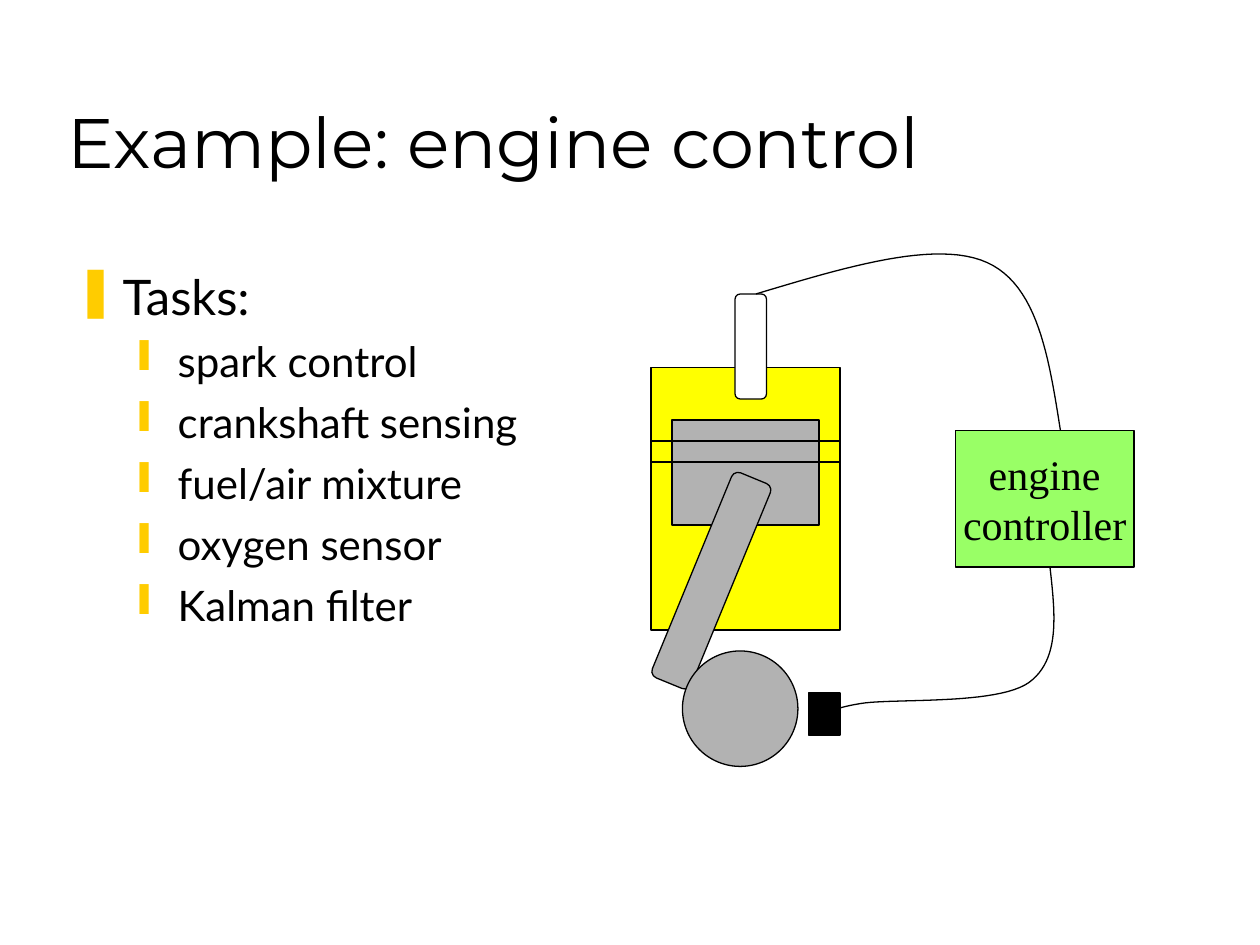
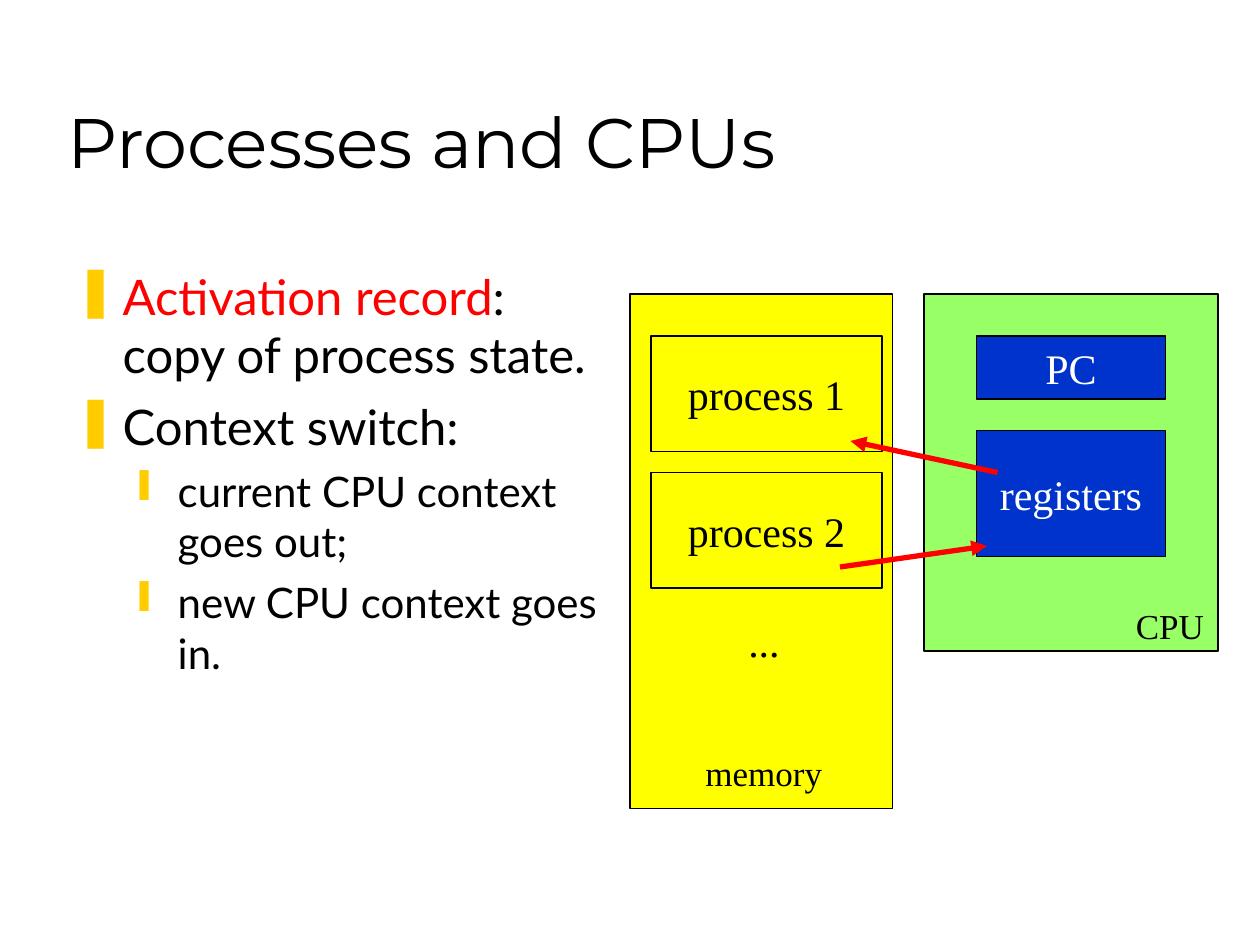
from lxml import etree
from pptx import Presentation
from pptx.dml import color
from pptx.enum import shapes, text
from pptx.oxml import ns
from pptx.util import Pt

BLACK, WHITE, RED = "000000", "FFFFFF", "FF0000"
YELLOW, GREEN, BLUE, GRAY = "FFFF00", "99FF66", "0033CC", "B2B2B2"
GOLD = "FFCC00"
HEAD, BODY, LABEL = "Montserrat", "Lato", "Times New Roman"
SHAPE = shapes.MSO_SHAPE
LEFT, CENTER = text.PP_ALIGN.LEFT, text.PP_ALIGN.CENTER
TOP, MIDDLE, BOTTOM = (text.MSO_ANCHOR.TOP, text.MSO_ANCHOR.MIDDLE,
                       text.MSO_ANCHOR.BOTTOM)
# Per outline level: bullet, size, indent, hang, space before
LEVELS = [("❚", 28, 27, 27, 7), ("❙", 24, 58.5, 22.5, 6)]


def rgb(code):
    return color.RGBColor.from_string(code)


def add_tag(parent, tag, **attrs):
    return etree.SubElement(parent, ns.qn(tag), attrs)


def write(par, words, size=24, font=LABEL, ink=BLACK, align=LEFT):
    """Fill a paragraph with one run."""
    par.alignment = align
    run = par.add_run()
    run.text = words
    run.font.size, run.font.name = Pt(size), font
    run.font.color.rgb = rgb(ink)


def set_frame(frame, anchor=TOP, wrap=False):
    frame.auto_size = text.MSO_AUTO_SIZE.NONE
    frame.vertical_anchor, frame.word_wrap = anchor, wrap
    frame.margin_left = frame.margin_right = Pt(7.2)
    frame.margin_top = frame.margin_bottom = Pt(3.6)


def start(deck, words):
    """Add a slide with its title."""
    slide = deck.slides.add_slide(deck.slide_layouts[5])
    title = slide.shapes.title
    title.left, title.top = Pt(31.5), Pt(18)
    title.width, title.height = Pt(612), Pt(90)
    set_frame(title.text_frame, BOTTOM, True)
    write(title.text_frame.paragraphs[0], words, size=40, font=HEAD)
    return slide


def outline(slide, items):
    """Add a bulleted list of (level, [(words, ink), ...])."""
    box = slide.shapes.add_textbox(Pt(36), Pt(148.5), Pt(316), Pt(328.5))
    frame = box.text_frame
    set_frame(frame, wrap=True)
    for i, (level, runs) in enumerate(items):
        par = frame.add_paragraph() if i else frame.paragraphs[0]
        mark, size, indent, hang, gap = LEVELS[level]
        par.level = level
        props = par._p.get_or_add_pPr()
        props.set("marL", str(Pt(indent)))
        props.set("indent", str(-Pt(hang)))
        tint = add_tag(props, "a:buClr")
        add_tag(tint, "a:srgbClr", val=GOLD)
        add_tag(props, "a:buChar", char=mark)
        par.space_before = Pt(gap if i else 0)
        for words, ink in runs:
            write(par, words, size=size, font=BODY, ink=ink)


def paint(shape, fill):
    shape.shadow.inherit = False
    if fill:
        shape.fill.solid()
        shape.fill.fore_color.rgb = rgb(fill)
    else:
        shape.fill.background()
    shape.line.color.rgb = rgb(BLACK)
    shape.line.width = Pt(0.75)


def block(slide, x, y, w, h, fill=None, words="", ink=BLACK,
          kind=SHAPE.RECTANGLE, turn=0):
    shape = slide.shapes.add_shape(kind, Pt(x), Pt(y), Pt(w), Pt(h))
    paint(shape, fill)
    shape.rotation = turn
    if words:
        frame = shape.text_frame
        set_frame(frame, MIDDLE)
        for i, line in enumerate(words.split("\n")):
            par = frame.add_paragraph() if i else frame.paragraphs[0]
            write(par, line, ink=ink, align=CENTER)
    return shape


def label(slide, x, y, w, h, words, size=20):
    box = slide.shapes.add_textbox(Pt(x), Pt(y), Pt(w), Pt(h))
    set_frame(box.text_frame)
    write(box.text_frame.paragraphs[0], words, size=size)


def link(slide, x1, y1, x2, y2, ink=BLACK, width=0.75, arrow=False):
    line = slide.shapes.add_connector(
        shapes.MSO_CONNECTOR.STRAIGHT, Pt(x1), Pt(y1), Pt(x2), Pt(y2))
    line.line.color.rgb = rgb(ink)
    line.line.width = Pt(width)
    props = line._element.spPr
    if arrow:
        add_tag(props.find(ns.qn("a:ln")), "a:tailEnd", type="triangle")
    add_tag(props, "a:effectLst")


def bezier(a, b, c, d, t):
    """Point at t on a cubic curve."""
    s = 1 - t
    return tuple(Pt(s**3 * p + 3 * s * s * t * q + 3 * s * t * t * r + t**3 * e)
                 for p, q, r, e in zip(a, b, c, d))


def wire(slide, *knots, steps=24):
    """Draw joined cubic curves: a start, then three points per curve."""
    path = [bezier(*knots[i:i + 4], n / steps)
            for i in range(0, len(knots) - 1, 3)
            for n in range(1, steps + 1)]
    x, y = knots[0]
    pen = slide.shapes.build_freeform(Pt(x), Pt(y))
    pen.add_line_segments(path, close=False)
    paint(pen.convert_to_shape(), None)


def engine(deck):
    slide = start(deck, "Example: engine control")
    tasks = ["spark control", "crankshaft sensing", "fuel/air mixture",
             "oxygen sensor", "Kalman filter"]
    outline(slide, [(0, [("Tasks:", BLACK)])]
            + [(1, [(task, BLACK)]) for task in tasks])

    block(slide, 372, 210, 108, 150, YELLOW)  # cylinder
    block(slide, 384, 240, 84, 60, GRAY)  # piston
    for ring in (252, 264):
        link(slide, 372, ring, 480, ring)
    block(slide, 399, 189, 60, 18, WHITE,
          kind=SHAPE.ROUNDED_RECTANGLE, turn=270)  # spark plug
    block(slide, 420, 276, 12, 12, "808080", kind=SHAPE.OVAL)  # pin
    block(slide, 394.5, 268.5, 24, 126.7, GRAY,
          kind=SHAPE.ROUNDED_RECTANGLE, turn=22.4)  # rod
    block(slide, 390, 372, 66, 66, GRAY, kind=SHAPE.OVAL)  # crank
    block(slide, 462, 396, 18, 24, BLACK)  # sensor
    block(slide, 546, 246, 102, 78, GREEN, "engine\ncontroller")
    wire(slide, (480, 408), (477, 406.5), (474, 405), (492, 402),
         (510, 399), (570, 403), (588, 390),
         (606, 377), (603, 350.5), (600, 324))
    wire(slide, (432, 168), (483.5, 152.5), (535, 137), (564, 150),
         (593, 163), (599.5, 204.5), (606, 246))


def process(deck):
    slide = start(deck, "Processes and CPUs")
    outline(slide, [
        (0, [("Activation record", RED), (": copy of process state.", BLACK)]),
        (0, [("Context switch:", BLACK)]),
        (1, [("current CPU context goes out;", BLACK)]),
        (1, [("new CPU context goes in.", BLACK)]),
    ])

    block(slide, 528, 168, 168, 204, GREEN)
    label(slide, 642, 342, 53.5, 31.5, "CPU")
    block(slide, 558, 192, 108, 36, BLUE, "PC", WHITE)
    block(slide, 558, 246, 108, 72, BLUE, "registers", WHITE)

    block(slide, 360, 168, 150, 294, YELLOW)
    for i in range(2):
        block(slide, 372, 192 + 78 * i, 132, 66, words=f"process {i + 1}")
    label(slide, 420.5, 348, 32.5, 36, "...", size=24)
    link(slide, 570, 270, 486, 252, RED, 3, arrow=True)
    link(slide, 480, 324, 564, 312, RED, 3, arrow=True)
    label(slide, 396, 426, 81, 31.5, "memory")


def main():
    deck = Presentation()
    deck.slide_width, deck.slide_height = Pt(720), Pt(540)
    engine(deck)
    process(deck)
    deck.save("out.pptx")


if __name__ == "__main__":
    main()
